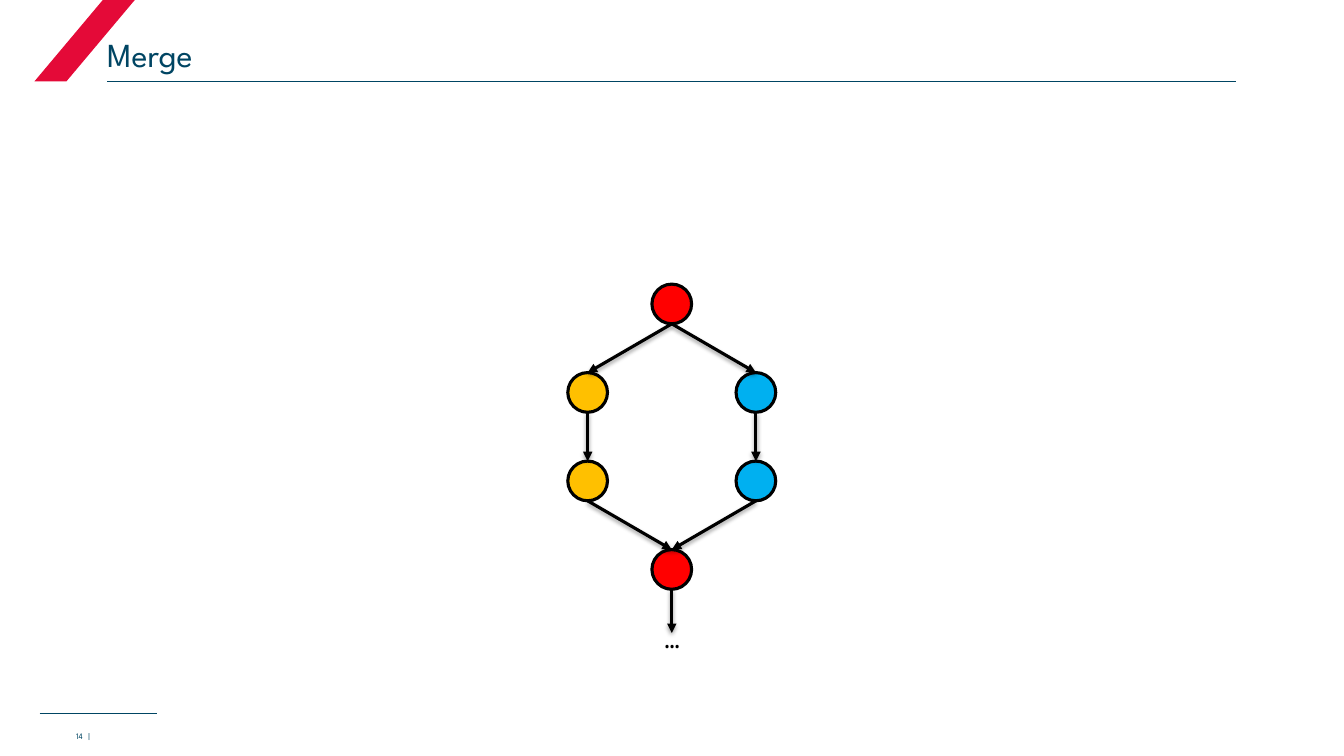
from dataclasses import dataclass

import pptx
import pptx.dml.color
import pptx.enum.shapes
import pptx.enum.text
import pptx.oxml
import pptx.oxml.ns
import pptx.util
from pptx.util import Cm

Point = tuple[float, float]


@dataclass(frozen=True)
class Theme:
    navy: str = "004563"
    crimson: str = "E40A38"
    black: str = "000000"
    red: str = "FF0000"
    amber: str = "FFC000"
    blue: str = "00B0F0"
    heading_font: str = "League Spartan"
    mono_font: str = "Noto Sans Mono"
    title_size: float = 24
    dots_size: float = 18
    number_size: float = 6
    rule_width: float = 0.5
    graph_width: float = 2.25


THEME = Theme()


@dataclass(frozen=True)
class Node:
    """A commit, placed by column (-1, 0, 1) and row (0 to 3)."""
    column: int
    row: int
    fill: str

    @property
    def centre(self) -> Point:
        return CENTRE_X + self.column * COLUMN_STEP, FIRST_ROW_Y + self.row * ROW_STEP


CENTRE_X, FIRST_ROW_Y = 16.93, 7.66
COLUMN_STEP, ROW_STEP = 2.12, 2.23
DIAMETER = 1.0
RADIUS = DIAMETER / 2

NODES = {
    "start": Node(0, 0, THEME.red),
    "left 1": Node(-1, 1, THEME.amber),
    "left 2": Node(-1, 2, THEME.amber),
    "right 1": Node(1, 1, THEME.blue),
    "right 2": Node(1, 2, THEME.blue),
    "merge": Node(0, 3, THEME.red),
}
EDGES = [(before, after)
         for side in ("left", "right")
         for before, after in (("start", f"{side} 1"),
                               (f"{side} 1", f"{side} 2"),
                               (f"{side} 2", "merge"))]

SHADOW = ('<a:outerShdw blurRad="40000" dist="20000" dir="5400000" rotWithShape="0">'
          f'<a:srgbClr val="{THEME.black}"><a:alpha val="38000"/></a:srgbClr></a:outerShdw>')


def colour(code: str) -> pptx.dml.color.RGBColor:
    return pptx.dml.color.RGBColor.from_string(code)


def add_run(para, text: str, font: str, size: float, code: str):
    span = para.add_run()
    span.text = text
    span.font.name = font
    span.font.size = pptx.util.Pt(size)
    span.font.color.rgb = colour(code)
    return span


def prepare_frame(box, anchor, wrap: bool = True):
    """Remove the insets and return the first paragraph."""
    frame = box.text_frame
    frame.margin_left = frame.margin_right = frame.margin_top = frame.margin_bottom = 0
    frame.vertical_anchor = anchor
    frame.word_wrap = wrap
    frame.auto_size = pptx.enum.text.MSO_AUTO_SIZE.NONE
    return frame.paragraphs[0]


def add_line(page, start: Point, end: Point, code: str, width: float, effect: str = ""):
    line = page.shapes.add_connector(
        pptx.enum.shapes.MSO_CONNECTOR.STRAIGHT, *(Cm(value) for value in start + end))
    line.line.color.rgb = colour(code)
    line.line.width = pptx.util.Pt(width)
    namespace = pptx.oxml.ns.nsdecls("a")
    line._element.spPr.append(
        pptx.oxml.parse_xml(f"<a:effectLst {namespace}>{effect}</a:effectLst>"))
    return line


def add_arrow(page, start: Point, end: Point):
    arrow = add_line(page, start, end, THEME.black, THEME.graph_width, SHADOW)
    namespace = pptx.oxml.ns.nsdecls("a")
    arrow.line._get_or_add_ln().append(
        pptx.oxml.parse_xml(f'<a:tailEnd {namespace} type="triangle"/>'))
    return arrow


def add_node(page, node: Node):
    x, y = node.centre
    circle = page.shapes.add_shape(
        pptx.enum.shapes.MSO_SHAPE.OVAL,
        Cm(x - RADIUS), Cm(y - RADIUS), Cm(DIAMETER), Cm(DIAMETER))
    circle.shadow.inherit = False
    circle.fill.solid()
    circle.fill.fore_color.rgb = colour(node.fill)
    circle.line.color.rgb = colour(THEME.black)
    circle.line.width = pptx.util.Pt(THEME.graph_width)
    return circle


def add_frame(page) -> None:
    """Draw the title, the rules, the corner stripe and the page number."""
    stripe = page.shapes.add_shape(
        pptx.enum.shapes.MSO_SHAPE.PARALLELOGRAM, Cm(0.87), Cm(-0.05), Cm(2.57), Cm(2.1))
    stripe.adjustments[0] = 0.84
    stripe.shadow.inherit = False
    stripe.fill.solid()
    stripe.fill.fore_color.rgb = colour(THEME.crimson)
    stripe.line.fill.background()

    for start, end in (((1, 17.98), (3.95, 17.98)), ((2.7, 2.04), (31.15, 2.04))):
        add_line(page, start, end, THEME.navy, THEME.rule_width)

    title = page.shapes.title
    title.left, title.top, title.width, title.height = Cm(2.7), Cm(0.91), Cm(28.45), Cm(0.95)
    para = prepare_frame(title, pptx.enum.text.MSO_ANCHOR.BOTTOM)
    para.alignment = pptx.enum.text.PP_ALIGN.LEFT
    add_run(para, "Merge", THEME.heading_font, THEME.title_size, THEME.navy)

    number = page.shapes.add_textbox(Cm(0.56), Cm(18.08), Cm(1.71), Cm(0.6))
    para = prepare_frame(number, pptx.enum.text.MSO_ANCHOR.BOTTOM)
    para.alignment = pptx.enum.text.PP_ALIGN.RIGHT
    style = THEME.heading_font, THEME.number_size, THEME.navy
    add_run(para, "14", *style)
    gap = add_run(para, " ", *style)
    gap.font._element.set("spc", "250")
    add_run(para, "|", *style)


def add_graph(page) -> None:
    circles = {name: add_node(page, node) for name, node in NODES.items()}
    for before, after in EDGES:
        (x1, y1), (x2, y2) = NODES[before].centre, NODES[after].centre
        arrow = add_arrow(page, (x1, y1 + RADIUS), (x2, y2 - RADIUS))
        arrow.end_connect(circles[after], 0)

    x, y = NODES["merge"].centre
    add_arrow(page, (x, y + RADIUS), (x, 15.95))
    dots = page.shapes.add_textbox(Cm(x - 0.18), Cm(15.7), Cm(0.36), Cm(0.76))
    para = prepare_frame(dots, pptx.enum.text.MSO_ANCHOR.TOP, wrap=False)
    add_run(para, "…", THEME.mono_font, THEME.dots_size, THEME.black)


def main() -> None:
    deck = pptx.Presentation()
    deck.slide_width, deck.slide_height = Cm(33.87), Cm(19.05)
    page = deck.slides.add_slide(deck.slide_layouts[5])
    add_frame(page)
    add_graph(page)
    deck.save("out.pptx")


if __name__ == "__main__":
    main()
